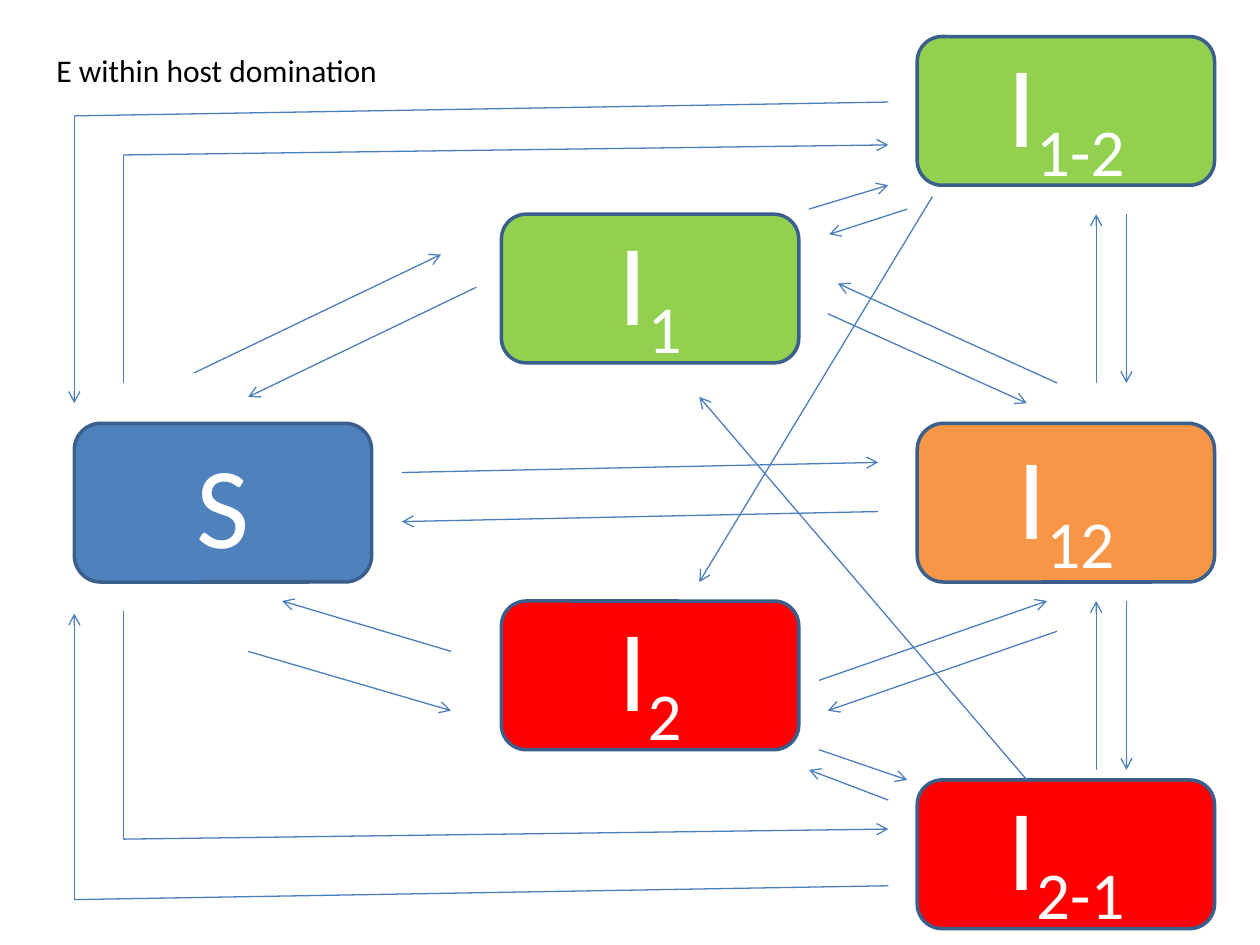
from pptx import Presentation
from pptx import util as u
from pptx.dml.color import RGBColor
from pptx.enum import shapes, text
from pptx.oxml.ns import qn
from lxml import etree

BLUE = RGBColor(0x4F, 0x81, 0xBD)
GREEN = RGBColor(0x92, 0xD0, 0x50)
RED = RGBColor(0xFF, 0x00, 0x00)
ORANGE = RGBColor(0xF7, 0x96, 0x46)
BORDER = RGBColor(0x3A, 0x5F, 0x8C)
ARROW = RGBColor(0x4B, 0x7E, 0xBC)
WHITE = RGBColor(0xFF, 0xFF, 0xFF)
BLACK = RGBColor(0x00, 0x00, 0x00)


class Diagram:
    font = "Calibri"
    box_width = 2.36

    def __init__(self, page):
        self.page = page

    def style(self, span, size, color):
        span.font.name = self.font
        span.font.size = u.Pt(size)
        span.font.color.rgb = color

    def caption(self, words, left, top, width, height):
        box = self.page.shapes.add_textbox(*map(u.Inches, (left, top, width, height)))
        frame = box.text_frame
        frame.text = words
        frame.word_wrap = False
        frame.auto_size = text.MSO_AUTO_SIZE.SHAPE_TO_FIT_TEXT
        self.style(frame.paragraphs[0].runs[0], 18, BLACK)

    def state(self, letter, subscript, left, top, height, color):
        box = self.page.shapes.add_shape(
            shapes.MSO_SHAPE.ROUNDED_RECTANGLE,
            *map(u.Inches, (left, top, self.box_width, height)))
        box.shadow.inherit = False
        box.fill.solid()
        box.fill.fore_color.rgb = color
        box.line.color.rgb = BORDER
        box.line.width = u.Pt(2)
        frame = box.text_frame
        frame.vertical_anchor = text.MSO_ANCHOR.MIDDLE
        para = frame.paragraphs[0]
        para.text = letter
        para.alignment = text.PP_ALIGN.CENTER
        if subscript:
            span = para.add_run()
            span.text = subscript
            span._r.get_or_add_rPr().set("baseline", "-25000")
        for span in para.runs:
            self.style(span, 66, WHITE)

    def line(self, start, end, arrow=True):
        link = self.page.shapes.add_connector(
            shapes.MSO_CONNECTOR.STRAIGHT, *map(u.Inches, (*start, *end)))
        link.line.color.rgb = ARROW
        link.line.width = u.Pt(0.75)
        if arrow:
            etree.SubElement(link.line._get_or_add_ln(), qn("a:tailEnd"), type="arrow")
        etree.SubElement(link._element.spPr, qn("a:effectLst"))

    def elbow(self, start, corner, end):
        self.line(start, corner, arrow=False)
        self.line(corner, end)


def main():
    deck = Presentation()
    deck.slide_width, deck.slide_height = u.Inches(10), u.Inches(7.5)
    diagram = Diagram(deck.slides.add_slide(deck.slide_layouts[6]))

    diagram.caption("E within host domination", 0.35, 0.36, 2.87, 0.4)

    # Host states, in three columns
    left, middle, right = 0.59, 3.98, 7.28
    for state in (
        ("S", "", left, 3.36, 1.26, BLUE),
        ("I", "1", middle, 1.7, 1.18, GREEN),
        ("I", "2", middle, 4.77, 1.18, RED),
        ("I", "1-2", right, 0.29, 1.18, GREEN),
        ("I", "12", right, 3.36, 1.26, ORANGE),
        ("I", "2-1", right, 6.19, 1.18, RED),
    ):
        diagram.state(*state)

    # Straight transitions, each pointing at its second end
    for start, end in (
        # S and I1
        ((3.78, 2.28), (1.97, 3.15)),
        ((1.54, 2.96), (3.5, 2.02)),
        # S and I2
        ((3.58, 5.17), (2.24, 4.77)),
        ((1.97, 5.17), (3.58, 5.64)),
        # S and I12
        ((3.19, 3.75), (6.97, 3.67)),
        ((6.97, 4.06), (3.19, 4.14)),
        # I1 and I12
        ((8.39, 3.04), (6.65, 2.25)),
        ((6.57, 2.49), (8.15, 3.2)),
        # I2 and I12
        ((8.39, 5.01), (6.57, 5.64)),
        ((6.5, 5.4), (8.31, 4.77)),
        # I2 and I2-1
        ((6.5, 5.95), (7.2, 6.19)),
        ((7.05, 6.35), (6.42, 6.11)),
        # I1 and I1-2
        ((6.42, 1.66), (7.05, 1.47)),
        ((7.2, 1.66), (6.58, 1.86)),
        # I1-2 to I2, I2-1 to I1
        ((7.4, 1.56), (5.55, 4.62)),
        ((8.15, 6.19), (5.55, 3.15)),
    ):
        diagram.line(start, end)

    # Vertical pairs above and below I12
    for top in (1.7, 4.77):
        bottom = top + 1.34
        diagram.line((8.94, top), (8.94, bottom))
        diagram.line((8.7, bottom), (8.7, top))

    # Cornered routes between S and the outer states
    outer, inner, far = 0.59, 0.98, 7.05
    diagram.elbow((far, 0.81), (outer, 0.92), (outer, 3.2))
    diagram.elbow((inner, 3.04), (inner, 1.23), (far, 1.15))
    diagram.elbow((inner, 4.85), (inner, 6.66), (far, 6.58))
    diagram.elbow((far, 7.03), (outer, 7.14), (outer, 4.87))

    deck.save("out.pptx")


if __name__ == "__main__":
    main()
